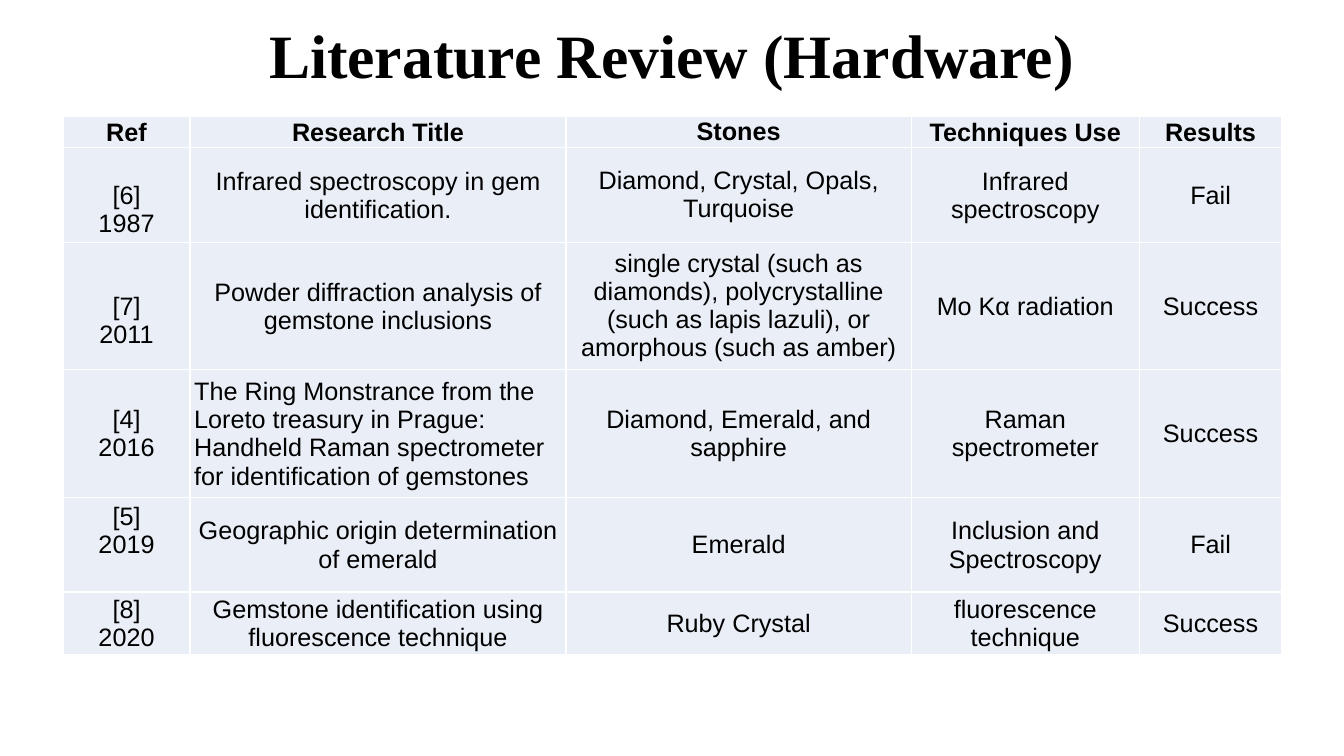
from lxml import etree
from pptx import Presentation
from pptx.dml.color import RGBColor
from pptx.enum.text import MSO_ANCHOR, PP_ALIGN
from pptx.oxml.ns import qn
from pptx.util import Pt

PX = 9525
MIDDLE = MSO_ANCHOR.MIDDLE
CENTER = PP_ALIGN.CENTER
LEFT = PP_ALIGN.LEFT

BLACK = "000000"
WHITE = "FFFFFF"
PALE_BLUE = "EAEFF7"

LINE = 28
COLUMN_WIDTHS = [121, 358, 329, 217, 136]
ROW_HEIGHTS = [28, 90, 121, 122, 90, 60]
STONES_COLUMN = 2
LEFT_ALIGNED = (3, 1)
EXTRA_MARGINS = {
    (1, 0): {"margin_top": LINE},
    (2, 0): {"margin_top": LINE},
    (4, 0): {"margin_bottom": LINE},
}

STUDIES = [
    ["Ref", "Research Title", "Stones", "Techniques Use", "Results"],
    ["[6]\n1987", "Infrared spectroscopy in gem identification.",
     "Diamond, Crystal, Opals, Turquoise", "Infrared spectroscopy", "Fail"],
    ["[7]\n2011", "Powder diffraction analysis of gemstone inclusions",
     "single crystal (such as diamonds), polycrystalline (such as lapis lazuli), "
     "or amorphous (such as amber)", "Mo Kα radiation", "Success"],
    ["[4]\n2016", "The Ring Monstrance from the Loreto treasury in Prague: "
     "Handheld Raman spectrometer for identification of gemstones",
     "Diamond, Emerald, and sapphire", "Raman spectrometer", "Success"],
    ["[5]\n2019", "Geographic origin determination of emerald",
     "Emerald", "Inclusion and Spectroscopy", "Fail"],
    ["[8]\n2020", "Gemstone identification using fluorescence technique",
     "Ruby Crystal", "fluorescence technique", "Success"],
]


def px(length):
    return length * PX


def color(value):
    return RGBColor.from_string(value)


def apply(target, values):
    for name, value in values.items():
        setattr(target, name, value)


def write(frame, text, align, font_format):
    frame.text = text
    for paragraph in frame.paragraphs:
        paragraph.alignment = align
        for run in paragraph.runs:
            apply(run.font, font_format)
            run.font.color.rgb = color(BLACK)


def outline(cell):
    properties = cell._tc.get_or_add_tcPr()
    for position, side in enumerate(("a:lnL", "a:lnR", "a:lnT", "a:lnB")):
        border = etree.Element(qn(side), w=str(Pt(1)))
        fill = etree.SubElement(border, qn("a:solidFill"))
        etree.SubElement(fill, qn("a:srgbClr"), val=WHITE)
        properties.insert(position, border)


def add_title(slide, left, top, width, height):
    title = slide.shapes.add_textbox(px(left), px(top), px(width), px(height))
    frame = title.text_frame
    apply(frame, {"word_wrap": True, "vertical_anchor": MIDDLE})
    write(frame, "Literature Review (Hardware)", CENTER,
          {"name": "Times New Roman", "size": Pt(44), "bold": True})
    frame.paragraphs[0].line_spacing = 0.9


def add_studies(slide, left, top, width, height):
    table = slide.shapes.add_table(
        len(STUDIES), len(COLUMN_WIDTHS),
        px(left), px(top), px(width), px(height)).table
    apply(table, {"first_row": False, "horz_banding": False})
    for column, column_width in zip(table.columns, COLUMN_WIDTHS):
        column.width = px(column_width)
    for r, (study, row_height) in enumerate(zip(STUDIES, ROW_HEIGHTS)):
        table.rows[r].height = px(row_height)
        for c, text in enumerate(study):
            cell = table.cell(r, c)
            side, above = (0, 0) if c == STONES_COLUMN else (4, 1)
            margins = {"margin_left": side, "margin_right": side,
                       "margin_top": above, "margin_bottom": 0}
            margins.update(EXTRA_MARGINS.get((r, c), {}))
            apply(cell, {name: px(size) for name, size in margins.items()})
            cell.vertical_anchor = MIDDLE
            cell.fill.solid()
            cell.fill.fore_color.rgb = color(PALE_BLUE)
            outline(cell)
            write(cell.text_frame, text, LEFT if (r, c) == LEFT_ALIGNED else CENTER,
                  {"name": "Arial", "size": Pt(18), "bold": r == 0})


def main():
    presentation = Presentation()
    apply(presentation, {"slide_width": px(1280), "slide_height": px(720)})
    slide = presentation.slides.add_slide(presentation.slide_layouts[6])
    slide.background.fill.solid()
    slide.background.fill.fore_color.rgb = color(WHITE)
    add_title(slide, 88, 0, 1104, 111)
    add_studies(slide, 60, 111, sum(COLUMN_WIDTHS), sum(ROW_HEIGHTS))
    presentation.save("out.pptx")


if __name__ == "__main__":
    main()
